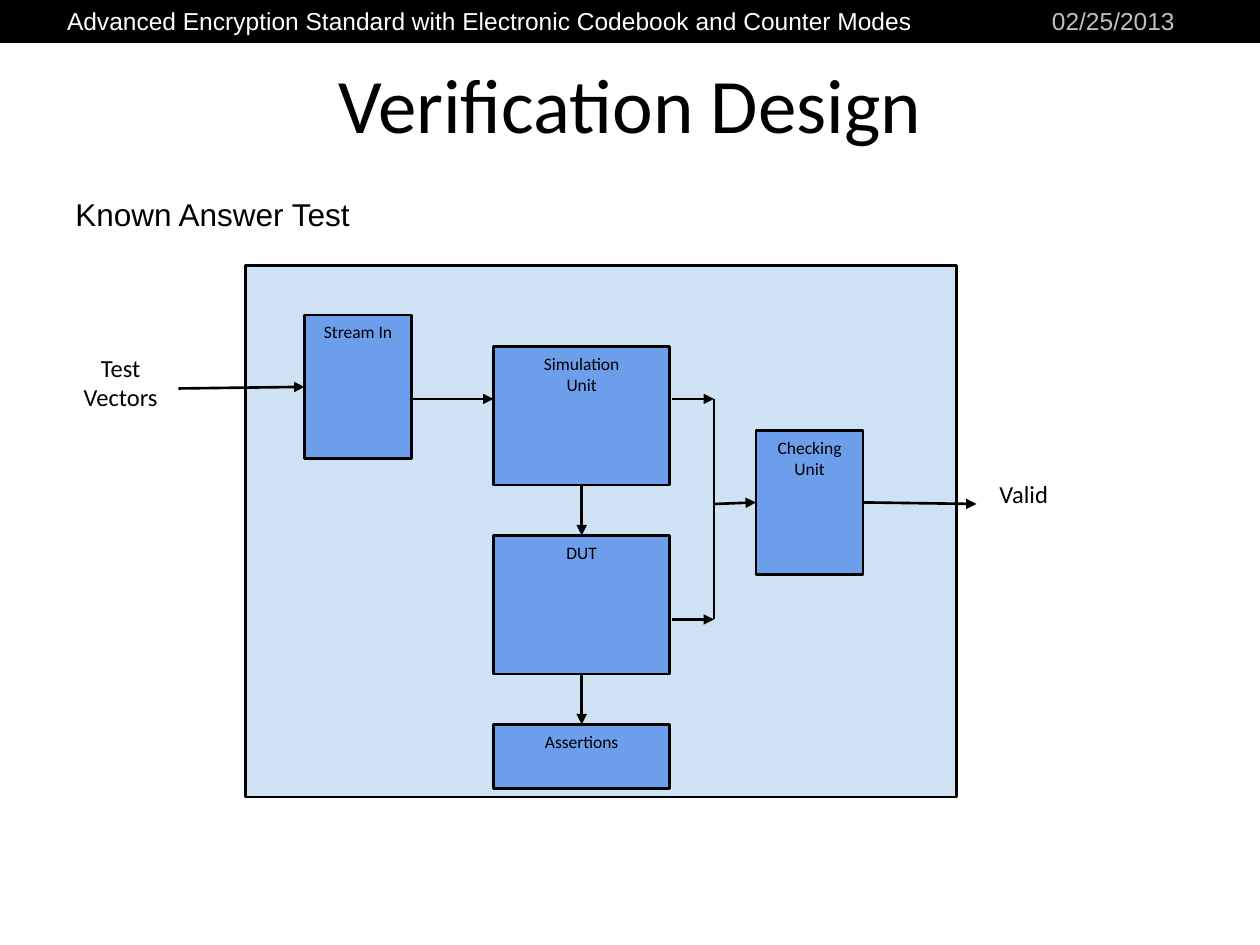
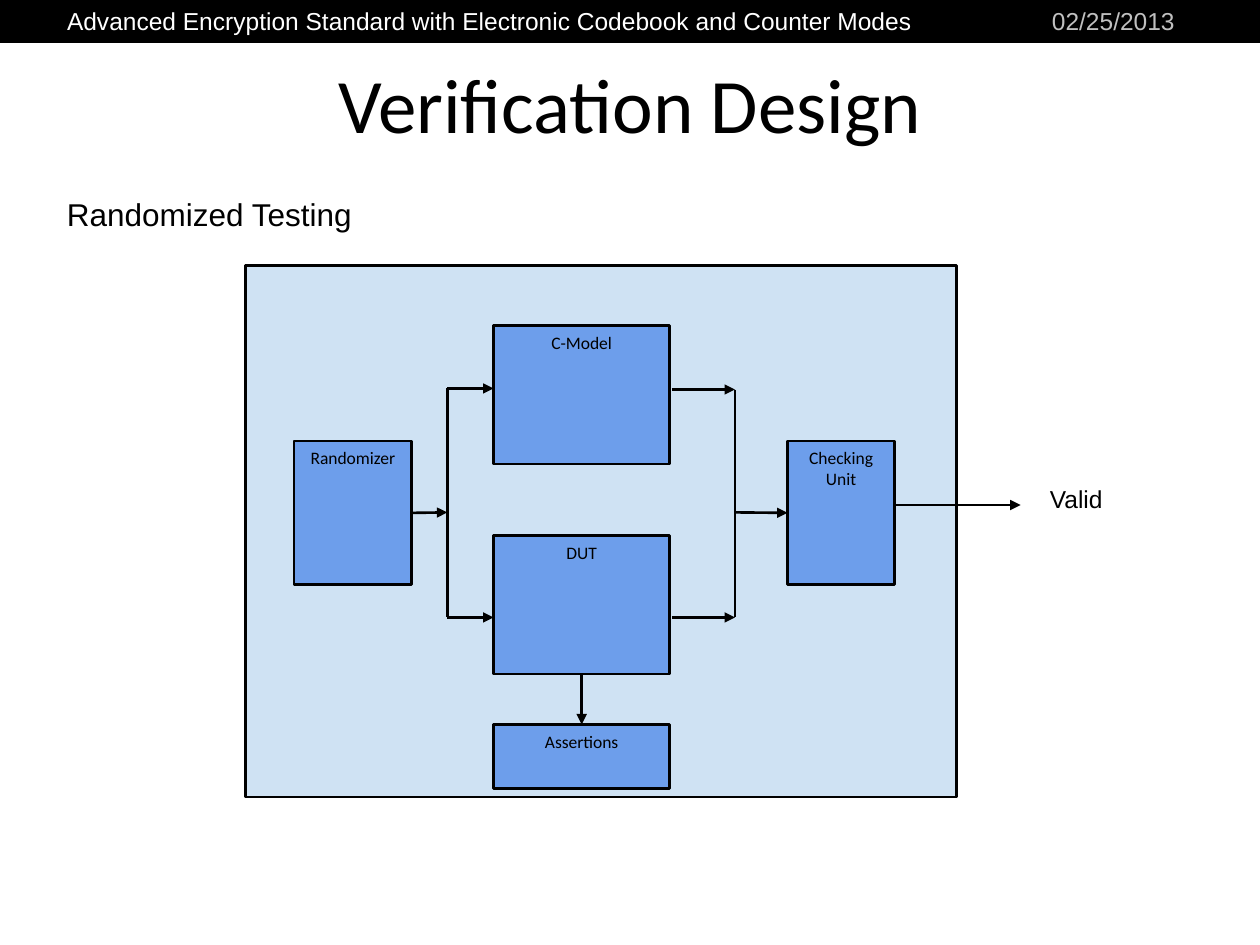
"""Build two slides of block diagrams on verification design."""
from lxml.etree import SubElement
from pptx import Presentation
from pptx.dml.color import RGBColor
from pptx.enum.shapes import MSO_CONNECTOR, MSO_SHAPE
from pptx.enum.text import MSO_ANCHOR, MSO_AUTO_SIZE, PP_ALIGN
from pptx.oxml.ns import qn
from pptx.util import Inches, Pt

BLACK, WHITE, SILVER = "000000", "FFFFFF", "C0C0C0"
PALE_BLUE, BLUE = "CFE2F3", "6D9EEB"

deck = Presentation()
deck.slide_width, deck.slide_height = Inches(10), Inches(7.5)
COLUMN, ROW = deck.slide_width / 120, deck.slide_height / 90


def place(columns, rows):
    """Turn alternating column and row counts into slide lengths."""
    return [round(value * unit) for value, unit in zip((columns + rows), (COLUMN, ROW) * 2)]


def write(box, text, size=14, font="Calibri", color=BLACK,
          align=PP_ALIGN.CENTER, anchor=MSO_ANCHOR.TOP):
    """Fill a box with formatted text, one paragraph a line."""
    frame = box.text_frame
    frame.text = text
    frame.word_wrap = True
    frame.auto_size = MSO_AUTO_SIZE.NONE
    frame.vertical_anchor = anchor
    for para in frame.paragraphs:
        para.alignment = align
        para.font.size = Pt(size)
        para.font.name = font
        para.font.color.rgb = RGBColor.from_string(color)


WIDE, TALL, FLAT = (16.8, 13.2), (10.2, 13.7), (16.8, 6.1)
DUT = ("DUT", (47, 51), WIDE)
ASSERTIONS = ("Assertions", (47, 69), FLAT)
DOWN = (("DUT", 2), ("Assertions", 0), 2, True)

pages = [
    {
        "subtitle": ("Known Answer Test", 6),
        "blocks": [
            DUT,
            ("Stream In", (29, 30), TALL),
            ("Simulation\nUnit", (47, 33), WIDE),
            ("Checking\nUnit", (72, 41), TALL),
            ASSERTIONS,
        ],
        "labels": [("Test Vectors", (5, 33), "Calibri"), ("Valid", (91, 45), "Calibri")],
        "links": [
            ((17, 37), ("Stream In", 1), 1.5, True),
            ((39, 38), (47, 38), 1.5, True),
            (("Simulation\nUnit", 2), ("DUT", 0), 2, True),
            ((64, 38), (68, 38), 1.5, True),
            ((64, 59), (68, 59), 1.5, True),
            ((68, 38), (68, 59), 1.5, False),
            ((68, 48), ("Checking\nUnit", 1), 1.5, True),
            (("Checking\nUnit", 3), (93, 48), 1.5, True),
            DOWN,
        ],
    },
    {
        "subtitle": ("Randomized Testing", 5.2),
        "blocks": [
            DUT,
            ("Randomizer", (28, 42), (11.2, 13.7)),
            ("C-Model", (47, 31), WIDE),
            ("Checking\nUnit", (75, 42), TALL),
            ASSERTIONS,
        ],
        "labels": [("Valid", (96, 45.5), "Arial")],
        "links": [
            (("Randomizer", 3), (42.6, 48.8), 1.5, True),
            ((42.6, 37), (42.6, 58.8), 1.5, False),
            ((42.6, 37), (47, 37), 1.5, True),
            ((42.6, 58.8), (47, 58.8), 1.5, True),
            ((64, 37.1), (70, 37.1), 1.5, True),
            ((64, 58.8), (70, 58.8), 1.5, True),
            ((70, 37.1), (70, 58.8), 1.5, False),
            ((70, 48.8), ("Checking\nUnit", 1), 1.5, True),
            ((85.2, 48.1), (97.2, 48.1), 1.5, True),
            DOWN,
        ],
    },
]

for content in pages:
    page = deck.slides.add_slide(deck.slide_layouts[5])
    shapes = page.shapes

    title = shapes.title
    title.left, title.top, title.width, title.height = place((6, 3.6), (108, 12.4))
    write(title, "Verification Design", size=44, anchor=MSO_ANCHOR.MIDDLE)

    rectangles = {}
    for name, corner, size, fill, weight in [
        ("band", (0, 0), (120, 4), BLACK, 0.75),
        ("panel", (23.4, 25.3), (67.7, 50.6), PALE_BLUE, 1.5),
        *((*block, BLUE, 1.5) for block in content["blocks"]),
    ]:
        box = shapes.add_shape(MSO_SHAPE.RECTANGLE, *place(corner, size))
        box.shadow.inherit = False
        box.fill.solid()
        box.fill.fore_color.rgb = RGBColor.from_string(fill)
        box.line.color.rgb = RGBColor.from_string(BLACK)
        box.line.width = Pt(weight)
        rectangles[name] = box
    for name, *_ in content["blocks"]:
        write(rectangles[name], name, size=10)

    subtitle, subtitle_column = content["subtitle"]
    for text, corner, size, style in [
        ("Advanced Encryption Standard with Electronic Codebook and Counter Modes",
         (5.2, 0), (86, 4), {"color": WHITE}),
        ("02/25/2013", (99, 0), (15, 3), {"color": SILVER}),
        (subtitle, (subtitle_column, 18), (37, 4.8), {"size": 18}),
    ]:
        box = shapes.add_textbox(*place(corner, size))
        write(box, text, font="Arial", align=PP_ALIGN.LEFT, **style)
    for text, corner, font in content["labels"]:
        write(shapes.add_textbox(*place(corner, (13, 6.2))), text, font=font)

    for start, end, weight, has_arrow in content["links"]:
        ends = [(0, 0) if point[0] in rectangles else point for point in (start, end)]
        link = shapes.add_connector(MSO_CONNECTOR.STRAIGHT, *place(*ends))
        if start[0] in rectangles:
            link.begin_connect(rectangles[start[0]], start[1])
        if end[0] in rectangles:
            link.end_connect(rectangles[end[0]], end[1])
        link.line.color.rgb = RGBColor.from_string(BLACK)
        link.line.width = Pt(weight)
        if has_arrow:
            SubElement(link.line._get_or_add_ln(), qn("a:tailEnd"), type="triangle")
        SubElement(link._element.spPr, qn("a:effectLst"))

deck.save("out.pptx")
